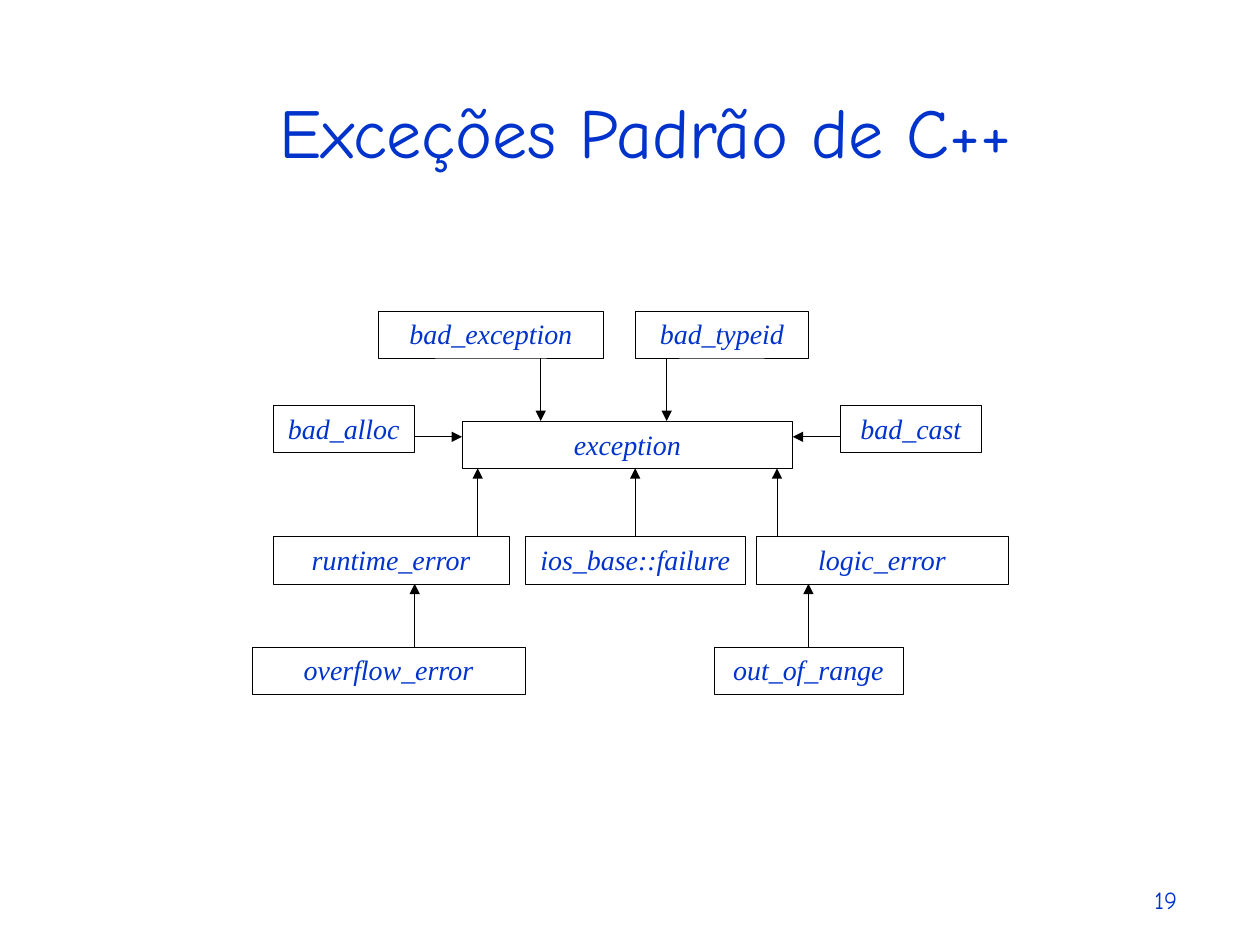
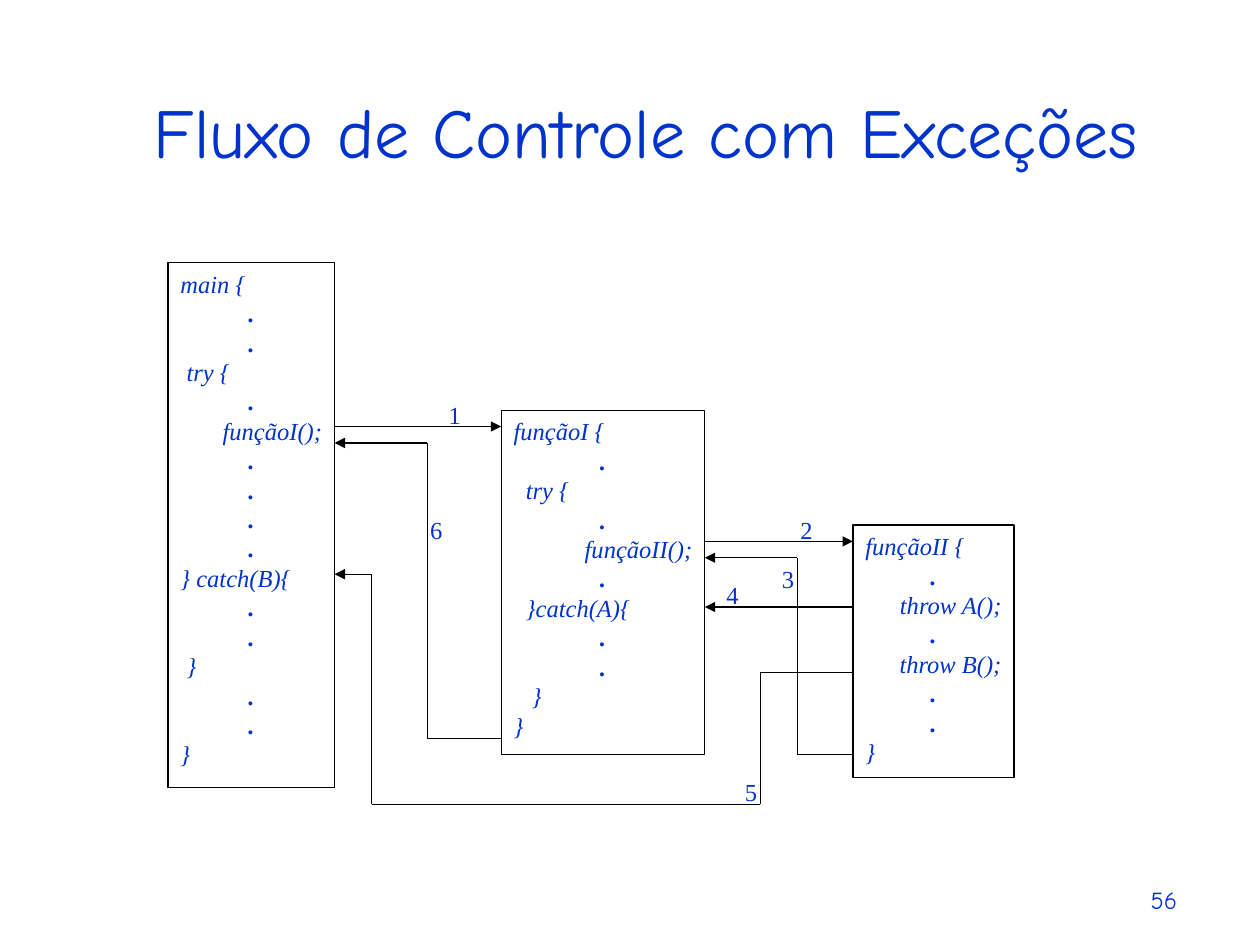
import dataclasses

import pptx
import pptx.dml.color
import pptx.enum.shapes
import pptx.enum.text
import pptx.oxml.ns
import pptx.util
from lxml import etree

BLUE = pptx.dml.color.RGBColor(0x00, 0x33, 0xCC)
BLACK = pptx.dml.color.RGBColor(0x00, 0x00, 0x00)
WHITE = pptx.dml.color.RGBColor(0xFF, 0xFF, 0xFF)
ALIGN = pptx.enum.text.PP_ALIGN
ANCHOR = pptx.enum.text.MSO_ANCHOR
HEADING_FONT = "Comic Neue"
DIAGRAM_FONT = "Times New Roman"
TITLE = {"name": HEADING_FONT, "size": pptx.util.Pt(40)}
PAGE_NUMBER = {"name": HEADING_FONT, "size": pptx.util.Pt(14)}
CLASS_NAME = {"name": DIAGRAM_FONT, "size": pptx.util.Pt(16), "italic": True}
CODE = {"name": DIAGRAM_FONT, "size": pptx.util.Pt(14), "italic": True}
STEP = {"name": DIAGRAM_FONT, "size": pptx.util.Pt(14)}
INDENT = pptx.util.Pt(3.5)
THIN, MEDIUM, THICK = 0.25, 0.5, 0.75

CLASS_HEIGHT = 9
CLASSES = {
    "exception": (40, 21, 63),
    "logic_error": (96, 43, 48),
    "runtime_error": (4, 43, 45),
    "bad_alloc": (4, 18, 27),
    "bad_exception": (24, 0, 43),
    "bad_cast": (112, 18, 27),
    "bad_typeid": (73, 0, 33),
    "ios_base::failure": (52, 43, 42),
    "overflow_error": (0, 64, 52),
    "out_of_range": (88, 64, 36),
}
VERTICAL_INHERITANCE = [
    ("bad_exception", "exception", 55),
    ("bad_typeid", "exception", 79),
    ("ios_base::failure", "exception", 73),
    ("runtime_error", "exception", 43),
    ("logic_error", "exception", 100),
    ("overflow_error", "runtime_error", 31),
    ("out_of_range", "logic_error", 106),
]
SIDE_INHERITANCE = [("bad_alloc", "exception", 24), ("bad_cast", "exception", 24)]

MAIN = """main {
.
.
 try {
.
funçãoI();
.
.
.
.
} catch(B){
.
.
 }
.
.
}"""
FUNCTION_I = """funçãoI {
.
  try {
.
funçãoII();
.
  }catch(A){
.
.
   }
}"""
FUNCTION_II = """funçãoII {
.
throw A();
.
throw B();
.
.
}"""
FUNCTIONS = [
    (MAIN, (0, 0, 9, 32)),
    (FUNCTION_I, (18, 9, 11, 21)),
    (FUNCTION_II, (37, 16, 8.7, 15.4)),
]
ROUTES = [
    ([(9, 10), (18, 10)], THICK),
    ([(29, 17), (37, 17)], THICK),
    ([(37, 30), (34, 30), (34, 18), (29, 18)], THIN),
    ([(37, 21), (29, 21)], THICK),
    ([(37, 25), (32, 25), (32, 33), (11, 33), (11, 19), (9, 19)], THIN),
    ([(18, 29), (14, 29), (14, 11), (9, 11)], THICK),
]
STEPS = [
    ("1", (14, 8, 3, 3)),
    ("2", (33, 15, 3, 3)),
    ("3", (32, 18, 3, 2)),
    ("4", (29, 19, 3, 3)),
    ("5", (30, 31, 3, 3)),
    ("6", (13, 15, 3, 3)),
]


@dataclasses.dataclass
class Grid:
    left: float
    top: float
    column: float
    row: float

    def point(self, column, row):
        return round(self.left + column * self.column), round(self.top + row * self.row)

    def cell(self, column, row, columns, rows):
        return *self.point(column, row), round(columns * self.column), round(rows * self.row)

    def divide(self, area, columns, rows):
        left, top, width, height = self.cell(*area)
        return Grid(left, top, width / columns, height / rows)


def apply(target, values):
    for attribute, value in values.items():
        setattr(target, attribute, value)


def write(paragraph, text, style, align=ALIGN.CENTER):
    paragraph.alignment = align
    run = paragraph.add_run()
    run.text = text
    apply(run.font, style)
    run.font.color.rgb = BLUE


def format_frame(frame, anchor=ANCHOR.TOP):
    apply(frame, {
        "word_wrap": True,
        "auto_size": pptx.enum.text.MSO_AUTO_SIZE.NONE,
        "vertical_anchor": anchor,
    })


def add_label(slide, cell, text, style, align=ALIGN.CENTER, anchor=ANCHOR.TOP):
    frame = slide.shapes.add_textbox(*cell).text_frame
    format_frame(frame, anchor)
    write(frame.paragraphs[0], text, style, align)
    return frame


def add_box(slide, cell, weight):
    box = slide.shapes.add_shape(pptx.enum.shapes.MSO_SHAPE.RECTANGLE, *cell)
    box.shadow.inherit = False
    box.fill.solid()
    box.fill.fore_color.rgb = WHITE
    box.line.color.rgb = BLACK
    box.line.width = pptx.util.Pt(weight)
    format_frame(box.text_frame)
    return box.text_frame


def add_line(slide, start, end, weight, arrow=True):
    line = slide.shapes.add_connector(pptx.enum.shapes.MSO_CONNECTOR.STRAIGHT, *start, *end)
    line.line.color.rgb = BLACK
    line.line.width = pptx.util.Pt(weight)
    if arrow:
        tail = etree.SubElement(line.line._get_or_add_ln(), pptx.oxml.ns.qn("a:tailEnd"))
        tail.set("type", "triangle")
    etree.SubElement(line._element.spPr, pptx.oxml.ns.qn("a:effectLst"))


def add_page(deck, page, title, title_area, number):
    slide = deck.slides.add_slide(deck.slide_layouts.get_by_name("Title Only"))
    heading = slide.shapes.title
    apply(heading, dict(zip(("left", "top", "width", "height"), page.cell(*title_area))))
    format_frame(heading.text_frame, ANCHOR.BOTTOM)
    write(heading.text_frame.paragraphs[0], title, TITLE)
    footer = add_label(slide, page.cell(88.3, 81.7, 25, 6), number, PAGE_NUMBER,
                       ALIGN.RIGHT, ANCHOR.BOTTOM)
    footer.paragraphs[0].space_before = pptx.util.Pt(8.8)
    return slide


def draw_hierarchy(slide, grid):
    for name, (column, row, columns) in CLASSES.items():
        frame = add_box(slide, grid.cell(column, row, columns, CLASS_HEIGHT), THIN)
        write(frame.paragraphs[0], name, CLASS_NAME)
    for child, parent, column in VERTICAL_INHERITANCE:
        child_row, parent_row = CLASSES[child][1], CLASSES[parent][1]
        if child_row < parent_row:
            child_row += CLASS_HEIGHT
        else:
            parent_row += CLASS_HEIGHT
        add_line(slide, grid.point(column, child_row), grid.point(column, parent_row), MEDIUM)
    for child, parent, row in SIDE_INHERITANCE:
        child_column, _, child_columns = CLASSES[child]
        parent_column, _, parent_columns = CLASSES[parent]
        if child_column < parent_column:
            child_column += child_columns
        else:
            parent_column += parent_columns
        add_line(slide, grid.point(child_column, row), grid.point(parent_column, row), MEDIUM)


def write_code(frame, code):
    for index, line in enumerate(code.split("\n")):
        paragraph = frame.add_paragraph() if index else frame.paragraphs[0]
        text = line.lstrip()
        if text == ".":
            write(paragraph, text, CODE | {"bold": True})
        else:
            write(paragraph, text, CODE, ALIGN.RIGHT if text.endswith(";") else ALIGN.LEFT)
            margin = (len(line) - len(text)) * INDENT
            paragraph._p.get_or_add_pPr().set("marL", str(margin))


def draw_control_flow(slide, grid):
    for code, area in FUNCTIONS:
        write_code(add_box(slide, grid.cell(*area), THICK), code)
    for corners, first_weight in ROUTES:
        points = [grid.point(*corner) for corner in corners]
        last = len(points) - 2
        for index, (start, end) in enumerate(zip(points, points[1:])):
            weight = THICK if index == last else THIN if index else first_weight
            add_line(slide, start, end, weight, index == last)
    for number, area in STEPS:
        add_label(slide, grid.cell(*area), number, STEP)


def main():
    deck = pptx.Presentation()
    deck.slide_width = pptx.util.Inches(10)
    deck.slide_height = pptx.util.Inches(7.5)
    page = Grid(0, 0, deck.slide_width / 120, deck.slide_height / 90)

    hierarchy = add_page(deck, page, "Exceções Padrão de C++", (3, 4, 117, 13), "19")
    draw_hierarchy(hierarchy, page.divide((24, 29.6, 72, 36.5), 144, 73))

    control_flow = add_page(deck, page, "Fluxo de Controle com Exceções", (3, 8, 117, 9), "56")
    draw_control_flow(control_flow, page.divide((16, 25, 81.1, 50), 46, 32))

    deck.save("out.pptx")


if __name__ == "__main__":
    main()
